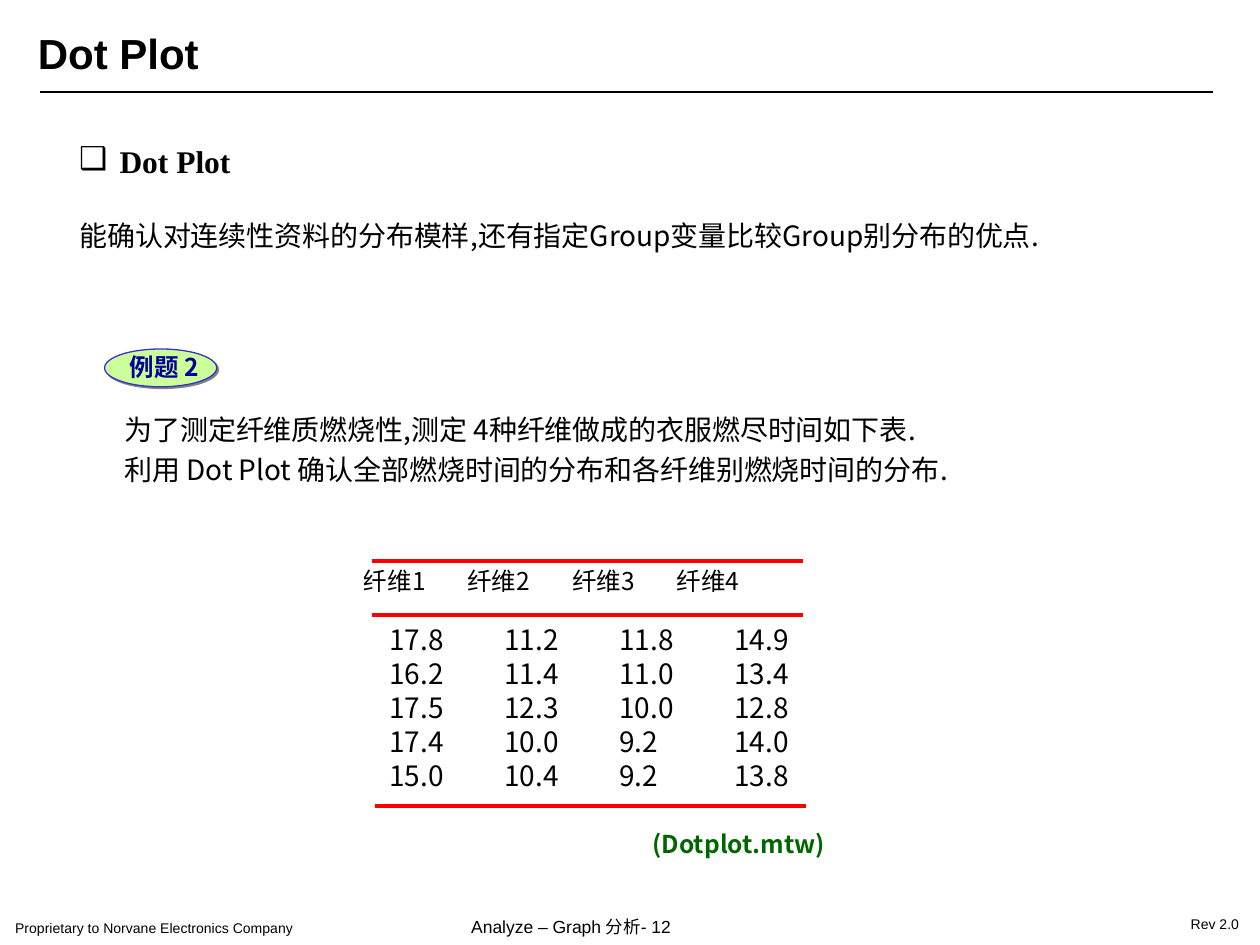
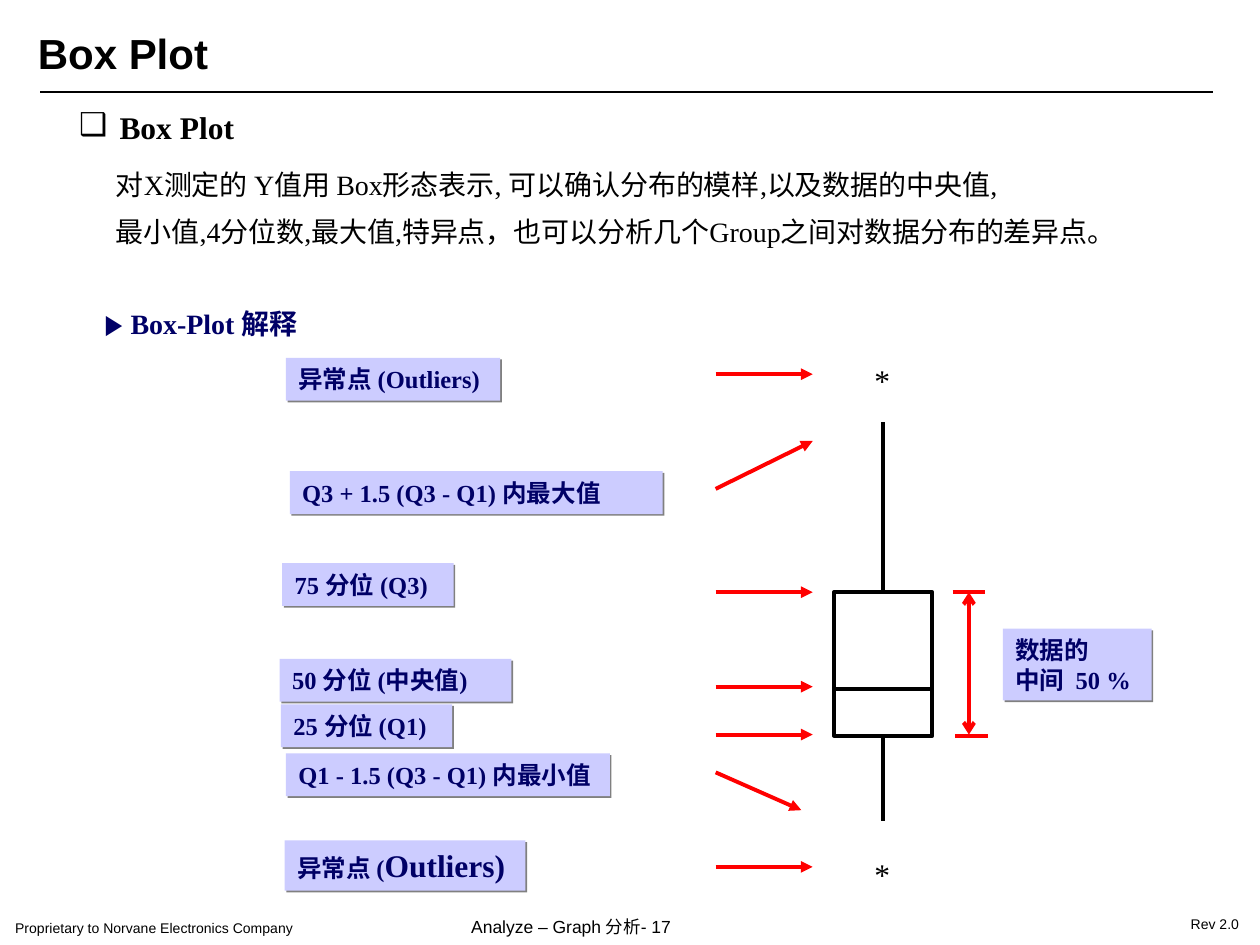
from lxml.etree import SubElement
from pptx import Presentation
from pptx.dml.color import RGBColor
from pptx.enum.shapes import MSO_CONNECTOR, MSO_SHAPE
from pptx.enum.text import MSO_ANCHOR, MSO_AUTO_SIZE, PP_ALIGN
from pptx.oxml.ns import qn
from pptx.util import Inches, Pt

BLACK = RGBColor(0x00, 0x00, 0x00)
WHITE = RGBColor(0xFF, 0xFF, 0xFF)
RED = RGBColor(0xFF, 0x00, 0x00)
NAVY = RGBColor(0x00, 0x00, 0x66)
BLUE = RGBColor(0x00, 0x00, 0x99)
BLUE_EDGE = RGBColor(0x33, 0x33, 0xCC)
GREEN = RGBColor(0x00, 0x66, 0x00)
LIME = RGBColor(0xCC, 0xFF, 0x99)
LAVENDER = RGBColor(0xCC, 0xCC, 0xFF)
SHADOW_GREY = RGBColor(0x80, 0x80, 0x80)

SANS = "Arial"
SERIF = "Times New Roman"
HAN = "Noto Sans CJK SC"

COLUMNS, ROWS = 100, 75
ARROW_START = 56.8
FIBRES = [
    ["纤维1", "纤维2", "纤维3", "纤维4"],
    ["17.8", "11.2", "11.8", "14.9"],
    ["16.2", "11.4", "11.0", "13.4"],
    ["17.5", "12.3", "10.0", "12.8"],
    ["17.4", "10.0", "9.2", "14.0"],
    ["15.0", "10.4", "9.2", "13.8"],
]


def grid(*cells):
    return [Inches(cell / 10) for cell in cells]


def write(frame, paragraphs, size=14, font=HAN, color=BLACK, bold=False,
          spacing=None, inset=(1, 0.5)):
    frame.word_wrap = True
    frame.auto_size = MSO_AUTO_SIZE.NONE
    frame.vertical_anchor = MSO_ANCHOR.TOP
    frame.margin_left, frame.margin_top = grid(*inset)
    frame.margin_right = frame.margin_bottom = 0
    if isinstance(paragraphs, str):
        paragraphs = [paragraphs]
    for index, spans in enumerate(paragraphs):
        para = frame.add_paragraph() if index else frame.paragraphs[0]
        para.alignment = PP_ALIGN.LEFT
        para.space_before = Pt(0)
        if spacing:
            para.line_spacing = spacing
        if isinstance(spans, str):
            spans = [(spans, {})]
        for text, changes in spans:
            span = para.add_run()
            span.text = text
            span.font.size = Pt(changes.get("size", size))
            span.font.bold = bold
            span.font.color.rgb = color
            span.font.name = changes.get("font", font)
            east_asian = SubElement(span.font._element, qn("a:ea"))
            east_asian.set("typeface", HAN)


def add_text(page, at, text, **style):
    box = page.shapes.add_textbox(*grid(*at))
    write(box.text_frame, text, **style)
    return box


def add_line(page, start, end, color=RED, width=2.25, head=None, tail=None):
    line = page.shapes.add_connector(MSO_CONNECTOR.STRAIGHT, *grid(*start, *end))
    line.line.color.rgb = color
    line.line.width = Pt(width)
    stroke = line.line._get_or_add_ln()
    for tag, kind in (("a:headEnd", head), ("a:tailEnd", tail)):
        if kind:
            SubElement(stroke, qn(tag)).set("type", kind)
    SubElement(line._element.spPr, qn("a:effectLst"))
    return line


def add_figure(page, kind, at, fill, edge=None, width=0.75, shadow=False):
    figure = page.shapes.add_shape(kind, *grid(*at))
    figure.shadow.inherit = False
    figure.fill.solid()
    figure.fill.fore_color.rgb = fill
    if edge is None:
        figure.line.fill.background()
    else:
        figure.line.color.rgb = edge
        figure.line.width = Pt(width)
    if shadow:
        effects = figure._element.spPr.find(qn("a:effectLst"))
        outer = SubElement(effects, qn("a:outerShdw"), dist=str(Pt(1.4)),
                           dir="2700000", algn="ctr", rotWithShape="0")
        SubElement(outer, qn("a:srgbClr"), val=str(SHADOW_GREY))
    return figure


def add_label(page, at, text, spacing=17):
    label = add_figure(page, MSO_SHAPE.RECTANGLE, at, LAVENDER, shadow=True)
    write(label.text_frame, text, font=SERIF, color=NAVY, bold=True,
          spacing=Pt(spacing))


def fill_placeholder(holder, at, text, **style):
    holder.left, holder.top, holder.width, holder.height = grid(*at)
    write(holder.text_frame, text, **style)
    for para in holder.text_frame.paragraphs:
        settings = para._p.get_or_add_pPr()
        settings.set("marL", "0")
        settings.set("indent", "0")
        SubElement(settings, qn("a:buNone"))


def add_page(deck, title, number, heading_top, body_at, body, **body_style):
    page = deck.slides.add_slide(deck.slide_layouts[1])
    footer = {"font": SANS, "inset": (1.2, 0.6)}
    add_text(page, (0, 72.4, 32.1, 2.5),
             "Proprietary to Norvane Electronics Company", size=8, **footer)
    add_text(page, (36.2, 72.1, 23.7, 2.9), f"Analyze – Graph 分析- {number}",
             size=10, **footer)
    add_text(page, (93.3, 72.1, 6.3, 2.5), "Rev 2.0", size=8, **footer)
    add_line(page, (3.2, 7.3), (96.3, 7.3), color=BLACK, width=1.5)
    fill_placeholder(page.shapes.title, (2, 2.1, 42.8, 6.1), title, size=24,
                     font=SANS, bold=True, spacing=0.9)
    fill_placeholder(page.placeholders[1], body_at, body, size=16, **body_style)
    add_text(page, (5.3, heading_top + 1.75, 4.2, 4), "❑", size=18, font=SANS)
    add_text(page, (8.5, heading_top, 14.8, 6.1), title, size=18, font=SERIF,
             bold=True, spacing=1.7)
    return page


def add_fibre_table(page):
    table = page.shapes.add_table(len(FIBRES), 4, *grid(28.8, 44.5, 34.9, 18.6)).table
    table.first_row = table.horz_banding = False
    for column, width in zip(table.columns, grid(8.3, 8.3, 8.3, 10)):
        column.width = width
    for row, height in zip(table.rows, grid(5.1, *[2.7] * 5)):
        row.height = height
    for r, values in enumerate(FIBRES):
        for c, value in enumerate(values):
            cell = table.cell(r, c)
            cell.fill.background()
            cell.vertical_anchor = MSO_ANCHOR.TOP
            left, top = (2.1 + 0.83 * c, 0) if r else (0, 0.6)
            cell.margin_left, cell.margin_top = grid(left, top)
            cell.margin_right = cell.margin_bottom = 0
            size, spacing = (16, 19) if r else (14, 17)
            write_cell(cell, value, size, spacing)
    for left, top in ((29.5, 44.5), (29.5, 48.8), (29.8, 64)):
        add_line(page, (left, top), (left + 34.2, top))


def write_cell(cell, value, size, spacing):
    para = cell.text_frame.paragraphs[0]
    para.line_spacing = Pt(spacing)
    span = para.add_run()
    span.text = value
    span.font.size = Pt(size)
    span.font.color.rgb = BLACK
    span.font.name = HAN
    SubElement(span.font._element, qn("a:ea")).set("typeface", HAN)


def build_dot_plot(deck):
    page = add_page(
        deck, "Dot Plot", 12, 8.7, (5.3, 16, 90, 4.5),
        "能确认对连续性资料的分布模样,还有指定Group变量比较Group别分布的优点.",
        spacing=Pt(25))
    add_figure(page, MSO_SHAPE.OVAL, (8.3, 27.7, 8.9, 3), LIME, edge=BLUE_EDGE,
               shadow=True)
    add_text(page, (9.3, 27.4, 13.3, 3.4), "例题 2", color=BLUE, bold=True,
             spacing=Pt(17))
    add_text(page, (8.9, 31.7, 80, 7.4),
             ["为了测定纤维质燃烧性,测定 4种纤维做成的衣服燃尽时间如下表.",
              "利用 Dot Plot 确认全部燃烧时间的分布和各纤维别燃烧时间的分布."],
             size=16, spacing=Pt(23))
    add_fibre_table(page)
    add_text(page, (50.8, 65.3, 17, 3.4), "(Dotplot.mtw)", color=GREEN,
             bold=True, spacing=Pt(17))


def add_box_diagram(page):
    box = add_figure(page, MSO_SHAPE.RECTANGLE, (66.2, 47, 7.8, 11.4), WHITE,
                     edge=BLACK, width=2.25)
    add_line(page, (66.2, 54.7), (74, 54.7), color=BLACK)
    upper = add_line(page, (70.1, 33.5), (70.1, 47), color=BLACK)
    upper.end_connect(box, 0)
    lower = add_line(page, (70.1, 58.4), (70.1, 65.2), color=BLACK)
    lower.begin_connect(box, 2)
    for top in (28.2, 67.4):
        add_text(page, (68.4, top, 3.2, 4), "*", size=18, font=SERIF)
    for left, top in ((75.6, 47), (75.8, 58.4)):
        add_line(page, (left, top), (left + 2.6, top))
    add_line(page, (76.9, 47), (76.9, 58.3), head="arrow", tail="arrow")


def build_box_plot(deck):
    page = add_page(
        deck, "Box Plot", 17, 6, (8.2, 11.7, 90, 8.5),
        ["对X测定的 Y值用 Box形态表示, 可以确认分布的模样,以及数据的中央值,",
         "最小值,4分位数,最大值,特异点，也可以分析几个Group之间对数据分布的差异点。"],
        font=SERIF, spacing=Pt(27))
    add_text(page, (7.3, 23.9, 22, 3.7),
             [[("▶ ", {"font": SANS}), ("Box-Plot 解释", {})]],
             size=16, font=SERIF, color=NAVY, bold=True, spacing=Pt(19))
    add_box_diagram(page)
    for left, top, width, text in (
            (22.7, 28.4, 17, "异常点 (Outliers)"),
            (23, 37.4, 29.6, "Q3 + 1.5 (Q3 - Q1) 内最大值"),
            (22.4, 44.7, 13.6, "75 分位 (Q3)"),
            (22.2, 52.3, 18.4, "50 分位 (中央值)"),
            (22.3, 55.9, 13.6, "25 分位 (Q1)"),
            (22.7, 59.8, 25.7, "Q1 - 1.5 (Q3 - Q1) 内最小值")):
        add_label(page, (left, top, width, 3.4), text)
    add_label(page, (22.6, 66.7, 19.1, 4),
              [[("异常点 (", {}), ("Outliers)", {"size": 18})]], spacing=21)
    add_label(page, (79.6, 49.9, 11.8, 5.7), ["数据的", "中间  50 %"])
    for top in (29.7, 47, 54.5, 58.3, 68.8):
        add_line(page, (ARROW_START, top), (64.5, top), tail="triangle")
    add_line(page, (ARROW_START, 38.8), (64.5, 35), tail="triangle")
    add_line(page, (ARROW_START, 61.3), (63.6, 64.3), tail="triangle")


def main():
    deck = Presentation()
    deck.slide_width, deck.slide_height = grid(COLUMNS, ROWS)
    build_dot_plot(deck)
    build_box_plot(deck)
    deck.save("out.pptx")


if __name__ == "__main__":
    main()
